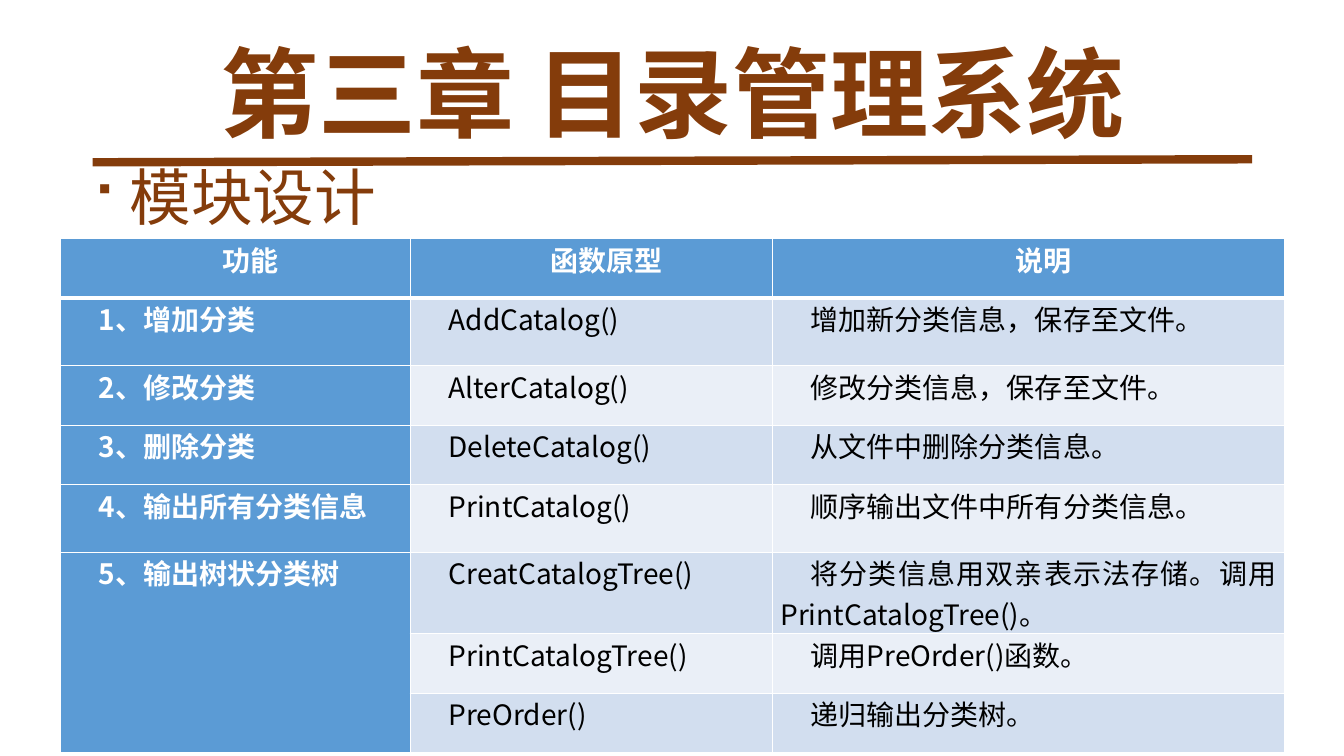
from lxml.etree import SubElement
from pptx import Presentation
from pptx.dml.color import RGBColor
from pptx.enum.shapes import MSO_CONNECTOR as CONN
from pptx.enum.text import MSO_ANCHOR as ANCHOR, PP_ALIGN as ALIGN
from pptx.oxml.ns import qn
from pptx.util import Inches, Pt

FONT = "Noto Sans CJK SC"
BROWN = RGBColor(0x84, 0x3C, 0x0B)
WHITE = RGBColor(0xFF, 0xFF, 0xFF)
BLACK = RGBColor(0, 0, 0)
BLUE = RGBColor(0x5B, 0x9B, 0xD5)
BANDS = [RGBColor(0xD2, 0xDE, 0xEF), RGBColor(0xEA, 0xEF, 0xF7)]

COLS = [3.47, 3.59, 5.08]
HEIGHTS = [0.59, 0.67, 0.59, 0.59, 0.67, 0.81, 0.59, 0.59]
ROWS = [
    ("功能", "函数原型", "说明"),
    ("1、增加分类", "AddCatalog()", "增加新分类信息，保存至文件。"),
    ("2、修改分类", "AlterCatalog()", "修改分类信息，保存至文件。"),
    ("3、删除分类", "DeleteCatalog()", "从文件中删除分类信息。"),
    ("4、输出所有分类信息", "PrintCatalog()", "顺序输出文件中所有分类信息。"),
    ("5、输出树状分类树", "CreatCatalogTree()",
     "将分类信息用双亲表示法存储。调用PrintCatalogTree()。"),
    ("", "PrintCatalogTree()", "调用PreOrder()函数。"),
    ("", "PreOrder()", "递归输出分类树。"),
]


def write(p, text, size, color, bold=False, align=ALIGN.LEFT):
    p.text = text
    p.alignment = align
    f = p.font
    f.name, f.size, f.bold = FONT, Pt(size), bold
    f.color.rgb = color
    r_pr = p._p.pPr.find(qn("a:defRPr"))
    SubElement(r_pr, qn("a:ea")).set("typeface", FONT)


def add_text(s, left, top, width, height, anchor, *args, **kwargs):
    tf = s.shapes.add_textbox(*map(Inches, (left, top, width, height))).text_frame
    tf.word_wrap = True
    tf.vertical_anchor = anchor
    p = tf.paragraphs[0]
    write(p, *args, **kwargs)
    p.line_spacing = 0.9
    return p


def add_bullet(p, char, indent):
    p_pr = p._p.pPr
    p_pr.set("marL", str(Inches(indent)))
    p_pr.set("indent", str(Inches(-indent)))
    r_pr = p_pr.find(qn("a:defRPr"))
    for tag, key, value in (("a:buFont", "typeface", "Wingdings"),
                            ("a:buChar", "char", char)):
        bullet = SubElement(p_pr, qn(tag))
        bullet.set(key, value)
        r_pr.addprevious(bullet)


def add_rule(s, x1, y1, x2, y2):
    line = s.shapes.add_connector(CONN.STRAIGHT, *map(Inches, (x1, y1, x2, y2)))
    line.line.color.rgb = BROWN
    line.line.width = Pt(6)
    SubElement(line._element.spPr, qn("a:effectLst"))


def add_border(cell, side, width):
    ln = SubElement(cell._tc.get_or_add_tcPr(), qn(f"a:ln{side}"))
    ln.set("w", str(Pt(width)))
    fill = SubElement(ln, qn("a:solidFill"))
    SubElement(fill, qn("a:srgbClr")).set("val", str(WHITE))


def fill_cell(cell, i, j, text):
    cell.margin_left = cell.margin_right = Inches(0.08)
    cell.margin_top = cell.margin_bottom = 0
    for side in "LRTB":
        under_header = (i, side) in ((0, "B"), (1, "T"))
        add_border(cell, side, 3 if under_header else 1)
    heading = i == 0 or j == 0
    cell.fill.solid()
    cell.fill.fore_color.rgb = BLUE if heading else BANDS[(i - 1) % 2]
    if text:
        p = cell.text_frame.paragraphs[0]
        write(p, text, 20, WHITE if heading else BLACK, heading,
              ALIGN.CENTER if i == 0 else ALIGN.JUSTIFY)
        p._p.pPr.set("indent", str(Inches(0.3)))


def add_function_table(s):
    frame = s.shapes.add_table(len(ROWS), len(COLS), Inches(0.6), Inches(2.37),
                               Inches(sum(COLS)), Inches(sum(HEIGHTS)))
    table = frame.table
    table.first_col = True
    for col, width in zip(table.columns, COLS):
        col.width = Inches(width)
    for row, height in zip(table.rows, HEIGHTS):
        row.height = Inches(height)
    for i, texts in enumerate(ROWS):
        for j, text in enumerate(texts):
            fill_cell(table.cell(i, j), i, j, text)
    table.cell(5, 0).merge(table.cell(7, 0))


def main():
    prs = Presentation()
    prs.slide_width, prs.slide_height = Inches(13.33), Inches(7.5)
    s = prs.slides.add_slide(prs.slide_layouts[6])
    add_text(s, 0.92, 0.25, 11.5, 1.45, ANCHOR.MIDDLE,
             "第三章 目录管理系统", 70, BROWN, bold=True, align=ALIGN.CENTER)
    p = add_text(s, 0.8, 1.61, 12.2, 5.89, ANCHOR.TOP, " 模块设计", 44, BROWN)
    p.space_before = Pt(10)
    add_bullet(p, "■", 0.25)
    add_rule(s, 0.92, 1.61, 12.42, 1.58)
    add_function_table(s)
    prs.save("out.pptx")


if __name__ == "__main__":
    main()
